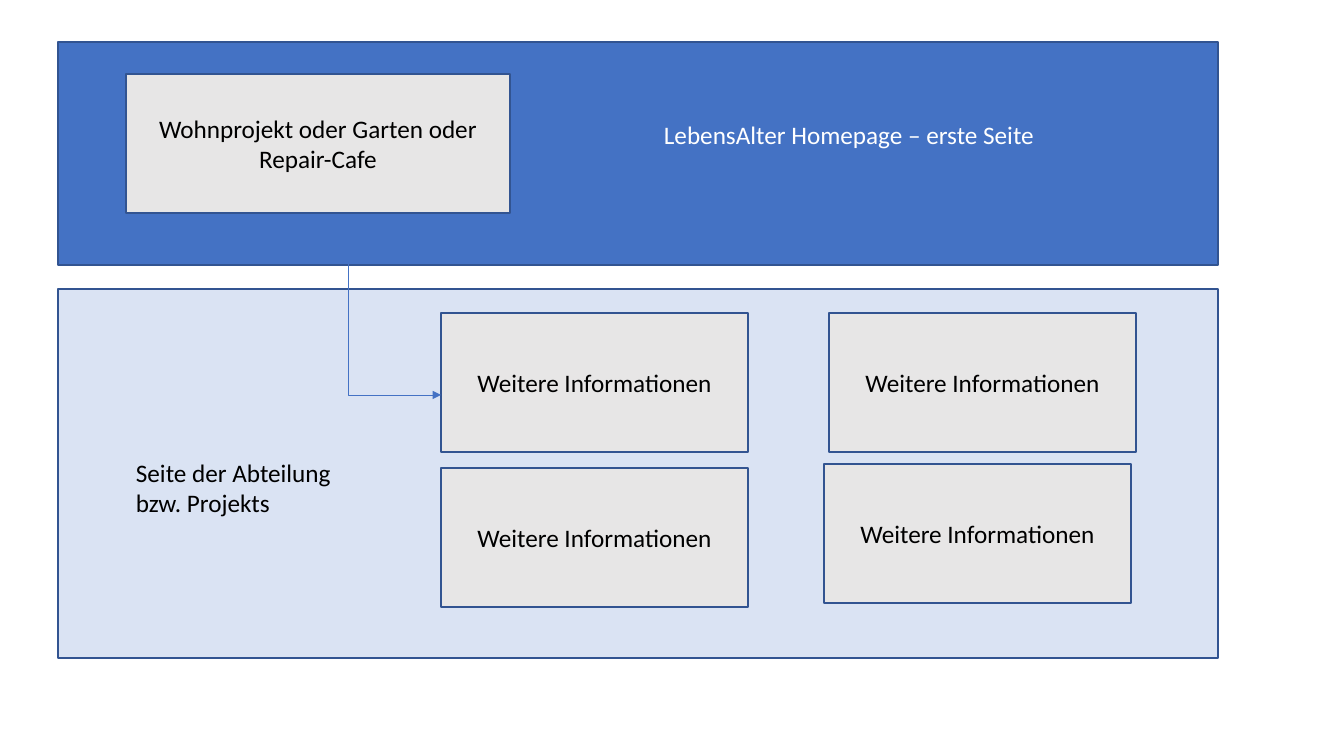
"""Build a slide that shows how the homepage leads to a department page."""
from lxml.etree import SubElement
from pptx import Presentation
from pptx.dml.color import RGBColor
from pptx.enum.shapes import MSO_CONNECTOR as Connector, MSO_SHAPE as Shape
from pptx.enum.text import MSO_ANCHOR as Anchor, MSO_AUTO_SIZE as AutoSize, PP_ALIGN as Align
from pptx.oxml.ns import qn
from pptx.util import Emu, Pt

WHITE = RGBColor(0xFF, 0xFF, 0xFF)
BLACK = RGBColor(0x00, 0x00, 0x00)
BLUE = RGBColor(0x44, 0x72, 0xC4)
PALE_BLUE = RGBColor(0xDA, 0xE3, 0xF3)
DARK_BLUE = RGBColor(0x32, 0x54, 0x91)
GREY = RGBColor(0xE7, 0xE6, 0xE6)

SLIDE_SIZE = (1344, 756)
EMU_PER_INCH, PX_PER_INCH = 914400, 100.8
INFO = "Weitere Informationen"
INFO_SIZE = (307, 139)
INFO_CORNERS = [(441, 313), (829, 313), (441, 468), (824, 464)]

PANELS = [
    ((58, 289, 1160, 369), PALE_BLUE),
    ((58, 42, 1160, 223), BLUE),
]
CARDS = [((126, 74, 384, 139), "Wohnprojekt oder Garten oder Repair-Cafe")]
CARDS += [(corner + INFO_SIZE, INFO) for corner in INFO_CORNERS]
LABELS = [
    ((654, 114, 448, 40), "LebensAlter Homepage – erste Seite", WHITE),
    ((126, 452, 253, 71), "Seite der Abteilung bzw. Projekts", BLACK),
]
ARROW = (255, 255, 441, 395)


def px(*lengths):
    return [Emu(round(length * EMU_PER_INCH / PX_PER_INCH)) for length in lengths]


def write(box, text, color, align):
    frame = box.text_frame
    frame.word_wrap = True
    frame.text = text
    para = frame.paragraphs[0]
    para.alignment = align
    font = para.runs[0].font
    font.name, font.size = "Calibri", Pt(18)
    font.color.rgb = color


def add_box(page, place, fill):
    box = page.shapes.add_shape(Shape.RECTANGLE, *px(*place))
    box.shadow.inherit = False
    box.fill.solid()
    box.fill.fore_color.rgb = fill
    box.line.color.rgb = DARK_BLUE
    box.line.width = Pt(1)
    return box


def add_card(page, place, text):
    card = add_box(page, place, GREY)
    write(card, text, BLACK, Align.CENTER)
    card.text_frame.vertical_anchor = Anchor.MIDDLE


def add_label(page, place, text, color):
    label = page.shapes.add_textbox(*px(*place))
    write(label, text, color, Align.LEFT)
    label.text_frame.auto_size = AutoSize.SHAPE_TO_FIT_TEXT


def add_arrow(page, ends):
    arrow = page.shapes.add_connector(Connector.ELBOW, *px(*ends))
    arrow.line.color.rgb = BLUE
    arrow.line.width = Pt(0.5)
    properties = arrow.element.spPr
    SubElement(properties.find(qn("a:ln")), qn("a:tailEnd"), type="triangle")
    SubElement(properties, qn("a:effectLst"))


def main():
    deck = Presentation()
    deck.slide_width, deck.slide_height = px(*SLIDE_SIZE)
    page = deck.slides.add_slide(deck.slide_layouts[6])
    for place, fill in PANELS:
        add_box(page, place, fill)
    for place, text in CARDS:
        add_card(page, place, text)
    for place, text, color in LABELS:
        add_label(page, place, text, color)
    add_arrow(page, ARROW)
    deck.save("out.pptx")


if __name__ == "__main__":
    main()
